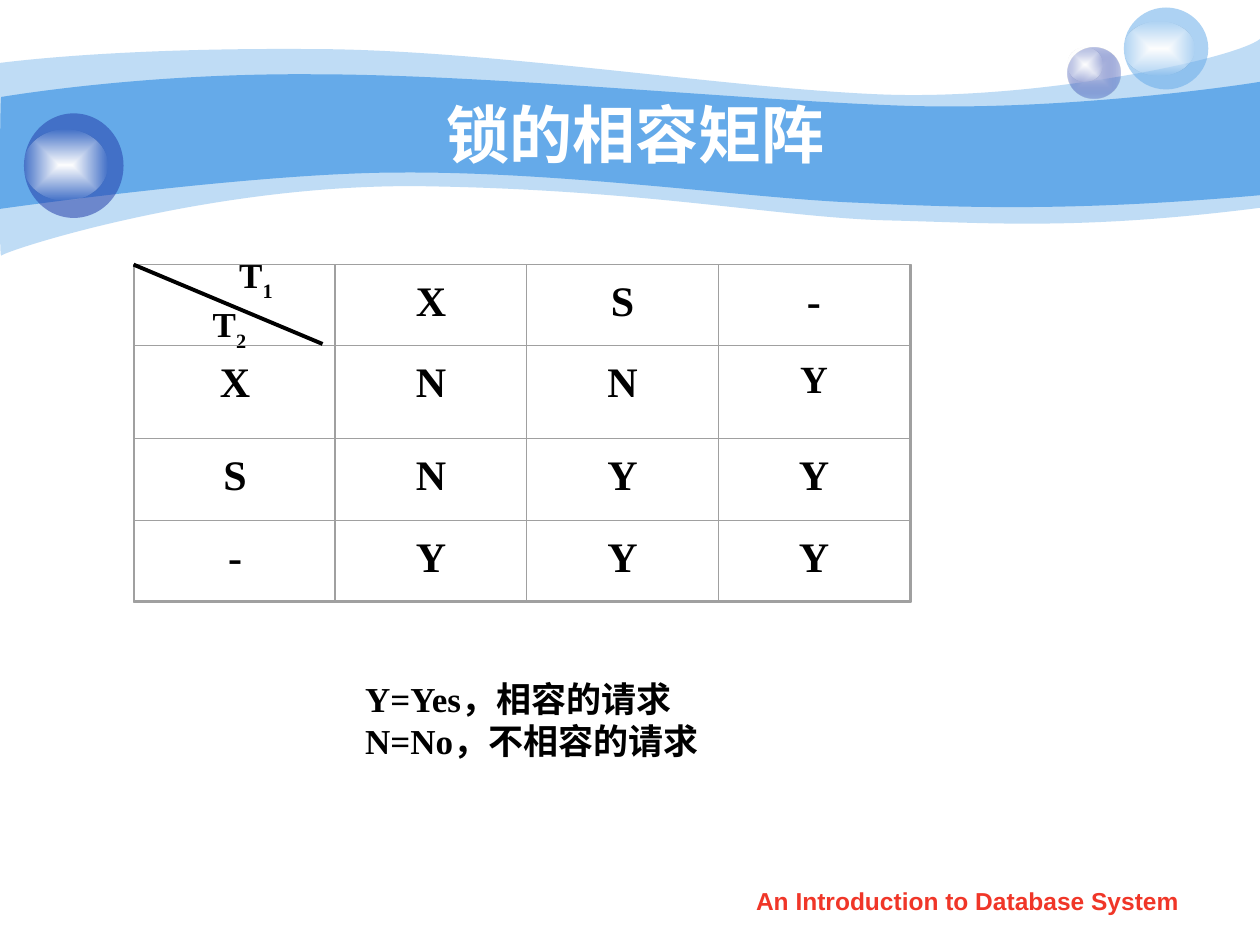
import itertools

import pptx
import pptx.dml.color
import pptx.enum.shapes
import pptx.enum.text
import pptx.oxml
import pptx.oxml.ns
import pptx.util
from pptx.util import Inches

RGBColor = pptx.dml.color.RGBColor
ALIGN = pptx.enum.text.PP_ALIGN
SHAPE = pptx.enum.shapes.MSO_SHAPE

SKY = RGBColor(0x65, 0xAA, 0xE9)
NAVY = RGBColor(0x23, 0x3D, 0xA9)
LILAC = RGBColor(0xC6, 0xCC, 0xE8)
WHITE = RGBColor(0xFF, 0xFF, 0xFF)
GLOSS = RGBColor(0xFE, 0xFE, 0xFE)
BLACK = RGBColor(0, 0, 0)
GREY = RGBColor(0xA0, 0xA0, 0xA0)
RED = RGBColor(0xF0, 0x36, 0x28)

SERIF, SANS = "Times New Roman", "Arial"
A_NS = pptx.oxml.ns.nsdecls("a")

OUTER_WAVE = [
    (0, 0.5),
    (0.24, 0.47, 1.07, 0.38, 2.47, 0.39),
    (3.86, 0.39, 5.75, 0.7, 6.99, 0.75),
    (8.22, 0.8, 9.8, 0.47, 10, 0.31),
    (10, 1.65),
    (8.58, 1.83, 7.87, 1.77, 7.05, 1.75),
    (6.22, 1.73, 5.15, 1.51, 3.43, 1.48),
    (1.72, 1.44, 0.04, 1.99, 0.01, 2.03),
    (-0.01, 2.08, 0, 0.75, 0, 0.5),
]
INNER_WAVE = [
    (0.01, 0.77),
    (0.02, 0.77, 1.1, 0.58, 2.48, 0.59),
    (3.86, 0.59, 5.95, 0.8, 7.18, 0.84),
    (8.41, 0.88, 9.76, 0.69, 10, 0.65),
    (10, 1.55),
    (8.53, 1.68, 7.65, 1.65, 6.82, 1.61),
    (5.99, 1.58, 4.47, 1.36, 3.17, 1.37),
    (2.03, 1.37, -0.02, 1.66, -0.01, 1.66),
    (0, 1.66, 0, 0.77, 0.01, 0.77),
]
MATRIX = [
    ["", "X", "S", "-"],
    ["X", "N", "N", "Y"],
    ["S", "N", "Y", "Y"],
    ["-", "Y", "Y", "Y"],
]
COLUMN_WIDTHS = (1.59, 1.52, 1.52, 1.52)
ROW_HEIGHTS = (0.64, 0.74, 0.65, 0.64)


def add_text(paragraph, text, size=24, font=SERIF, color=BLACK, align=None, subscript=False):
    """Append a bold run to a paragraph."""
    run = paragraph.add_run()
    run.text = text
    run.font.size = pptx.util.Pt(size)
    run.font.name = font
    run.font.bold = True
    run.font.color.rgb = color
    if align is not None:
        paragraph.alignment = align
    if subscript:
        run.font._element.set("baseline", "-30000")


def add_text_frame(slide, box):
    """Return the wrapping text frame of a new text box."""
    frame = slide.shapes.add_textbox(*map(Inches, box)).text_frame
    frame.word_wrap = True
    return frame


def paint(shape, color, alpha=100):
    """Give a shape a solid, possibly translucent fill without outline."""
    shape.shadow.inherit = False
    shape.line.fill.background()
    shape.fill.solid()
    shape.fill.fore_color.rgb = color
    if alpha < 100:
        srgb = shape._element.spPr.find(".//" + pptx.oxml.ns.qn("a:srgbClr"))
        srgb.append(pptx.oxml.parse_xml(f'<a:alpha {A_NS} val="{alpha * 1000}"/>'))


def paint_glow(shape, center, edge, edge_alpha):
    """Fill a shape with a gradient that fades out from its centre."""
    paint(shape, center)
    solid = shape._element.spPr.find(pptx.oxml.ns.qn("a:solidFill"))
    gradient = pptx.oxml.parse_xml(
        f'<a:gradFill {A_NS} rotWithShape="1"><a:gsLst>'
        f'<a:gs pos="0"><a:srgbClr val="{center}"/></a:gs>'
        f'<a:gs pos="100000"><a:srgbClr val="{edge}"><a:alpha val="{edge_alpha * 1000}"/></a:srgbClr></a:gs>'
        '</a:gsLst><a:path path="rect">'
        '<a:fillToRect l="50000" t="50000" r="50000" b="50000"/></a:path></a:gradFill>'
    )
    solid.getparent().replace(solid, gradient)


def add_wave(slide, outline, alpha):
    """Draw a closed outline of lines and cubic curves as a filled band."""
    start, *segments = outline
    builder = slide.shapes.build_freeform(*map(Inches, start))
    for segment in segments:
        lengths = list(map(Inches, segment))
        builder.add_line_segments(list(zip(lengths[::2], lengths[1::2])), close=False)
    builder.add_line_segments([], close=True)
    wave = builder.convert_to_shape()
    lines = iter(wave._element.spPr.findall(".//" + pptx.oxml.ns.qn("a:lnTo")))
    for segment in segments:
        members = list(itertools.islice(lines, len(segment) // 2))
        if len(members) == 3:
            curve = pptx.oxml.parse_xml(f"<a:cubicBezTo {A_NS}/>")
            members[0].addprevious(curve)
            for member in members:
                curve.append(member[0])
                member.getparent().remove(member)
    paint(wave, SKY, alpha)


def add_oval(slide, box):
    """Add an ellipse in the given box."""
    return slide.shapes.add_shape(SHAPE.OVAL, *map(Inches, box))


def add_bubble(slide, box, highlight, color, alpha, center=None):
    """Add a glossy ball with a highlight on it."""
    ball = add_oval(slide, box)
    if center is None:
        paint(ball, color, alpha)
    else:
        paint_glow(ball, center, color, alpha)
    paint_glow(add_oval(slide, highlight), WHITE, GLOSS, 0)


def add_banner(slide):
    """Draw the waves and the balls at the top of the slide."""
    add_wave(slide, OUTER_WAVE, 41)
    add_wave(slide, INNER_WAVE, 100)
    add_bubble(slide, (8.47, 0.38, 0.42, 0.4), (8.47, 0.38, 0.28, 0.27), NAVY, 31, center=LILAC)
    add_bubble(slide, (8.92, 0.06, 0.67, 0.65), (8.92, 0.17, 0.56, 0.43), SKY, 53)
    add_bubble(slide, (0.19, 0.9, 0.79, 0.83), (0.19, 1.03, 0.66, 0.56), NAVY, 53)


def add_title(slide, box):
    """Place the title over the banner."""
    title = slide.shapes.title
    title.left, title.top, title.width, title.height = map(Inches, box)
    title.text_frame.auto_size = pptx.enum.text.MSO_AUTO_SIZE.NONE
    title.text_frame.vertical_anchor = pptx.enum.text.MSO_ANCHOR.MIDDLE
    add_text(title.text_frame.paragraphs[0], "锁的相容矩阵", size=36, font=SANS, color=WHITE, align=ALIGN.CENTER)
    slide.shapes._spTree.append(title._element)


def add_outline(slide, box, width):
    """Add an unfilled grey rectangle."""
    outline = slide.shapes.add_shape(SHAPE.RECTANGLE, *map(Inches, box))
    outline.shadow.inherit = False
    outline.fill.background()
    outline.line.color.rgb = GREY
    outline.line.width = pptx.util.Pt(width)


def add_corner(slide, box):
    """Label the two transactions in the divided corner cell."""
    paragraph = add_text_frame(slide, box).paragraphs[0]
    properties = paragraph._p.get_or_add_pPr()
    properties.set("marL", str(Inches(0.13)))
    properties.set("indent", str(Inches(0.21)))
    add_text(paragraph, "T", size=20)
    add_text(paragraph, "1", size=20, subscript=True)
    paragraph.add_line_break()
    add_text(paragraph, "T", size=20)
    add_text(paragraph, "2", size=20, subscript=True)


def add_matrix(slide, box):
    """Draw the lock matrix with its divided corner cell."""
    left, top, width, height = box
    add_corner(slide, (left + 0.4, top - 0.14, 0.88, 0.89))
    for r, locks in enumerate(MATRIX):
        y = top + sum(ROW_HEIGHTS[:r])
        for c, lock in enumerate(locks):
            x = left + 0.01 + sum(COLUMN_WIDTHS[:c])
            if lock:
                frame = add_text_frame(slide, (x + 0.15, y, COLUMN_WIDTHS[c] - 0.3, ROW_HEIGHTS[r]))
                frame.margin_top = Inches(0.08)
                size = 22 if (r, c) == (1, 3) else 24
                add_text(frame.paragraphs[0], lock, size=size, align=ALIGN.CENTER)
            add_outline(slide, (x, y, COLUMN_WIDTHS[c], ROW_HEIGHTS[r]), 0)
    add_outline(slide, box, 0.88)

    diagonal = slide.shapes.add_connector(
        pptx.enum.shapes.MSO_CONNECTOR.STRAIGHT,
        Inches(left), Inches(top), Inches(left + 1.5), Inches(top + 0.63),
    )
    diagonal.line.color.rgb = BLACK
    diagonal.line.width = pptx.util.Pt(2.25)
    diagonal._element.spPr.append(pptx.oxml.parse_xml(f"<a:effectLst {A_NS}/>"))


def add_legend(slide, box):
    """Explain the letters used in the matrix."""
    frame = add_text_frame(slide, box)
    add_text(frame.paragraphs[0], "Y=Yes，相容的请求", size=20)
    add_text(frame.add_paragraph(), "N=No，不相容的请求", size=20)


def add_footer(slide, box):
    """Add the course name at the bottom."""
    paragraph = add_text_frame(slide, box).paragraphs[0]
    add_text(paragraph, "An Introduction to Database System", size=14, font=SANS, color=RED, align=ALIGN.CENTER)


def main():
    """Build and save the presentation."""
    deck = pptx.Presentation()
    deck.slide_width, deck.slide_height = Inches(10), Inches(7.5)
    slide = deck.slides.add_slide(deck.slide_layouts[5])
    add_banner(slide)
    add_title(slide, (1, 0.75, 8.08, 0.62))
    add_legend(slide, (2.8, 5.33, 3.07, 1.21))
    add_matrix(slide, (1.06, 2.1, 6.17, 2.68))
    add_footer(slide, (5.71, 6.98, 3.94, 0.35))
    deck.save("out.pptx")


if __name__ == "__main__":
    main()
